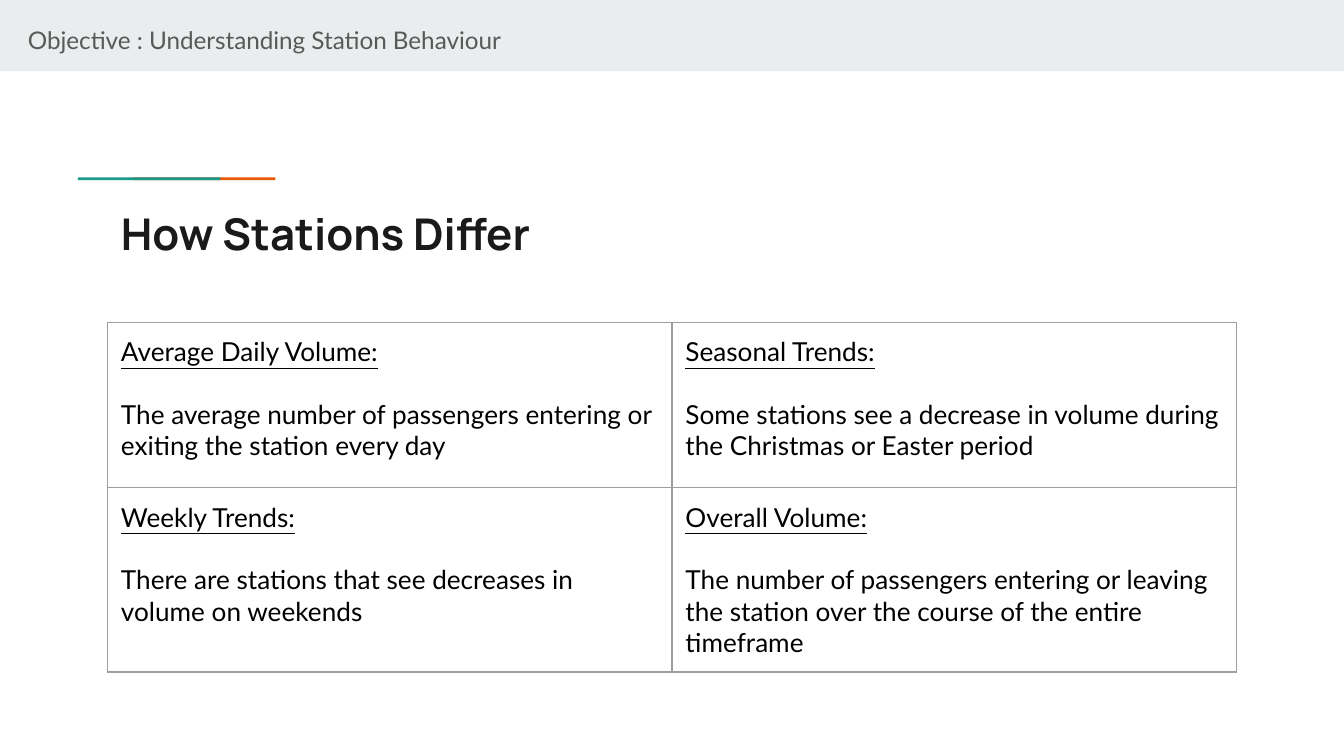
from lxml import etree
from pptx import Presentation
from pptx.dml.color import RGBColor
from pptx.enum.shapes import MSO_SHAPE
from pptx.enum.text import MSO_ANCHOR, MSO_AUTO_SIZE, PP_ALIGN
from pptx.oxml import parse_xml
from pptx.oxml.ns import nsdecls
from pptx.util import Inches, Pt

COLORS = {
    "band": "E9EDEE",
    "orange": "EB5600",
    "teal": "1A9988",
    "title": "1A1A1A",
    "muted": "595959",
    "body": "000000",
    "border": "9E9E9E",
}
INSET = Inches(0.1)
CELLS = [
    [
        ("Average Daily Volume:",
         "The average number of passengers entering or exiting the station every day"),
        ("Seasonal Trends:",
         "Some stations see a decrease in volume during the Christmas or Easter period"),
    ],
    [
        ("Weekly Trends:",
         "There are stations that see decreases in volume on weekends"),
        ("Overall Volume:",
         "The number of passengers entering or leaving the station over the course "
         "of the entire timeframe"),
    ],
]


class SlideBuilder:
    def __init__(self, slide):
        self.slide = slide

    def style(self, p, size, color, font="Lato", bold=False, underline=False):
        p.alignment = PP_ALIGN.LEFT
        for r in p.runs:
            r.font.name = font
            r.font.size = Pt(size)
            r.font.bold = bold
            r.font.underline = underline
            r.font.color.rgb = RGBColor.from_string(COLORS[color])

    def frame(self, tf, anchor):
        tf.word_wrap = True
        tf.auto_size = MSO_AUTO_SIZE.NONE
        tf.vertical_anchor = anchor
        tf.margin_left = tf.margin_right = tf.margin_top = tf.margin_bottom = INSET

    def rect(self, x, y, w, h, color):
        sp = self.slide.shapes.add_shape(
            MSO_SHAPE.RECTANGLE, Inches(x), Inches(y), Inches(w), Inches(h))
        sp.shadow.inherit = False
        sp.fill.solid()
        sp.fill.fore_color.rgb = RGBColor.from_string(COLORS[color])
        sp.line.fill.background()

    def title(self, text, x, y, w, h):
        sp = self.slide.shapes.title
        sp.left, sp.top, sp.width, sp.height = map(Inches, (x, y, w, h))
        tf = sp.text_frame
        tf.text = text
        self.frame(tf, MSO_ANCHOR.MIDDLE)
        self.style(tf.paragraphs[0], 23.4, "title", "Manrope", bold=True)

    def label(self, text, x, y, w, h):
        sp = self.slide.shapes.add_textbox(Inches(x), Inches(y), Inches(w), Inches(h))
        tf = sp.text_frame
        tf.text = text
        self.frame(tf, MSO_ANCHOR.TOP)
        self.style(tf.paragraphs[0], 13, "muted")

    def borders(self, cell):
        tc_pr = cell._tc.get_or_add_tcPr()
        for i, side in enumerate(("lnL", "lnR", "lnT", "lnB")):
            ln = parse_xml(f'<a:{side} {nsdecls("a")} w="{Pt(0.75)}"/>')
            fill = etree.SubElement(ln, ln.tag.replace(side, "solidFill"))
            etree.SubElement(fill, ln.tag.replace(side, "srgbClr"), val=COLORS["border"])
            tc_pr.insert(i, ln)

    def cell(self, cell, heading, body):
        cell.fill.background()
        cell.margin_left = cell.margin_right = INSET
        cell.margin_top = cell.margin_bottom = INSET
        cell.vertical_anchor = MSO_ANCHOR.TOP
        tf = cell.text_frame
        tf.text = heading
        self.style(tf.paragraphs[0], 14, "body", underline=True)
        p = tf.add_paragraph()
        p.text = body
        p.space_before = Pt(16.8)
        self.style(p, 14, "body")
        self.borders(cell)

    def table(self, rows, x, y, col_width, row_heights):
        n_cols = len(rows[0])
        table = self.slide.shapes.add_table(
            len(rows), n_cols, Inches(x), Inches(y),
            Inches(col_width * n_cols), Inches(sum(row_heights))).table
        table.first_row = table.horz_banding = False
        for col in table.columns:
            col.width = Inches(col_width)
        for i, (row, height) in enumerate(zip(rows, row_heights)):
            table.rows[i].height = Inches(height)
            for j, (heading, body) in enumerate(row):
                self.cell(table.cell(i, j), heading, body)


def main():
    prs = Presentation()
    prs.slide_width = Inches(10)
    prs.slide_height = prs.slide_width * 9 // 16
    s = SlideBuilder(prs.slides.add_slide(prs.slide_layouts[5]))
    s.rect(0, 0, 10, 0.53, "band")
    for x, color in ((0.99, "orange"), (0.58, "teal")):
        s.rect(x, 1.32, 1.06, 0.02, color)
    s.title("How Stations Differ", 0.8, 1.44, 8.41, 0.59)
    s.label("Objective : Understanding Station Behaviour", 0.11, 0.09, 9.62, 0.33)
    s.table(CELLS, 0.8, 2.4, 4.2, (1.23, 1.37))
    prs.save("out.pptx")


if __name__ == "__main__":
    main()
